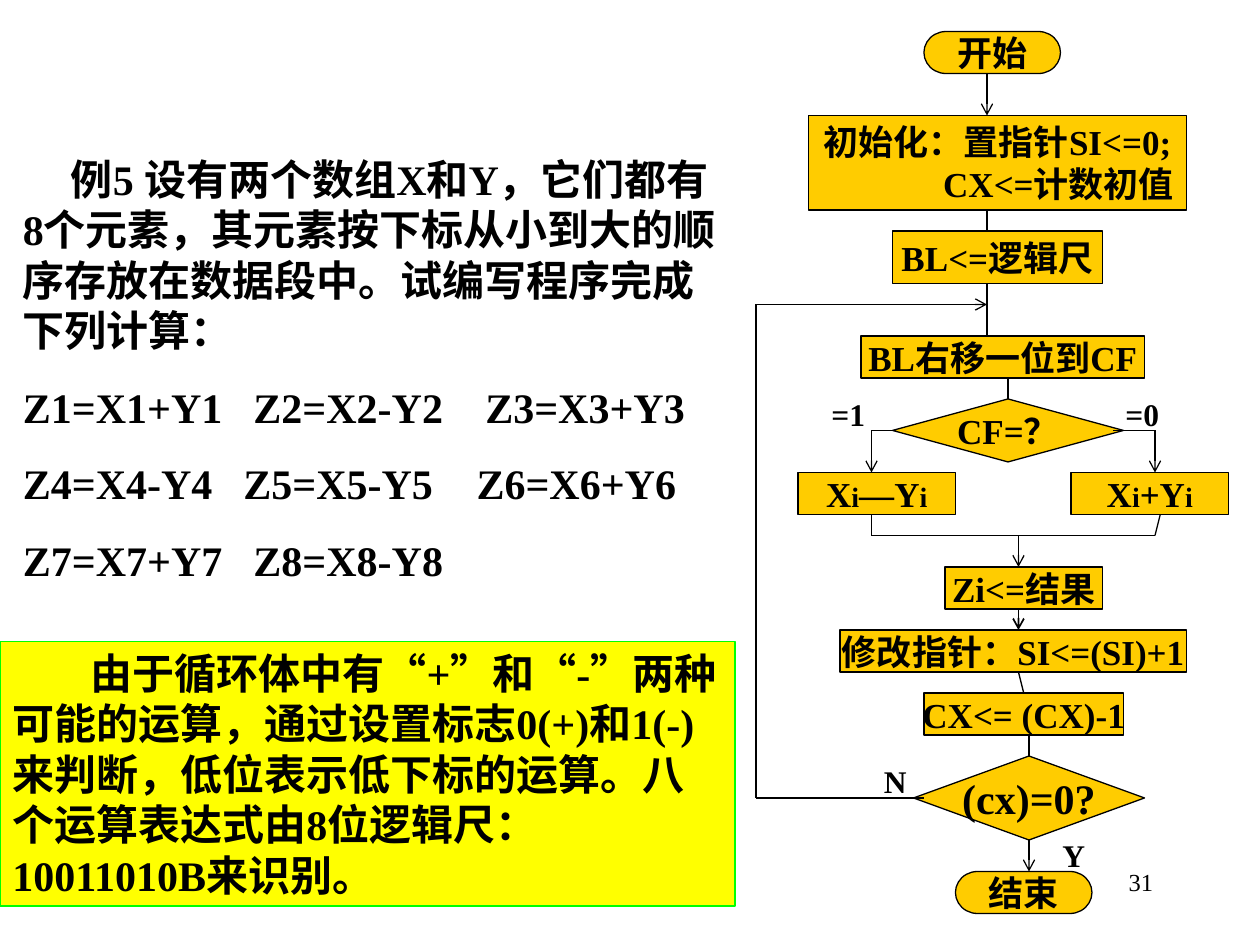
from lxml import etree
from pptx import Presentation
from pptx.dml.color import RGBColor
from pptx.enum.shapes import MSO_CONNECTOR, MSO_SHAPE
from pptx.enum.text import MSO_ANCHOR, PP_ALIGN
from pptx.oxml.ns import qn
from pptx.util import Inches, Pt

BLACK = RGBColor(0x00, 0x00, 0x00)
GOLD = RGBColor(0xFF, 0xCC, 0x00)
YELLOW = RGBColor(0xFF, 0xFF, 0x00)
GREEN = RGBColor(0x00, 0xFF, 0x00)
FONT = "Times New Roman"
U = Inches(1) // 12  # grid step: twelve to the inch

RECT = MSO_SHAPE.RECTANGLE
ROUND = MSO_SHAPE.FLOWCHART_TERMINATOR
DIAMOND = MSO_SHAPE.FLOWCHART_DECISION

# Left column: the exercise and the explanation
TASK = "例5 设有两个数组X和Y，它们都有8个元素，其元素按下标从小到大的顺序存放在数据段中。试编写程序完成下列计算："
FORMULAS = [  # terms, tab stops in inches
    (["Z1=X1+Y1", "Z2=X2-Y2", "Z3=X3+Y3"], [1.83, 3.67]),
    (["Z4=X4-Y4", "Z5=X5-Y5", "Z6=X6+Y6"], [1.75, 3.6]),
    (["Z7=X7+Y7", "Z8=X8-Y8"], [1.83]),
]
NOTE = ("由于循环体中有“+”和“-”两种可能的运算，通过设置标志0(+)和1(-)来判断，"
        "低位表示低下标的运算。八个运算表达式由8位逻辑尺：10011010B来识别。")

# Flowchart nodes: kind, left, top, width, height (grid steps), lines, size
# Within a line, every second part between bars is a small subscript
NODES = [
    (ROUND, 88, 3, 13, 4, ["开始"], 20),
    (RECT, 77, 11, 36, 9, ["初始化：置指针SI<=0;", "CX<=计数初值"], 20),
    (RECT, 85, 22, 20, 5, ["BL<=逻辑尺"], 20),
    (RECT, 82, 32, 27, 4, ["BL右移一位到CF"], 20),
    (DIAMOND, 85, 38, 22, 6, ["CF=？"], 20),
    (RECT, 76, 45, 15, 4, ["X|i|—Y|i"], 20),
    (RECT, 102, 45, 15, 4, ["X|i|+Y|i"], 20),
    (RECT, 90, 54, 15, 4, ["Zi<=结果"], 20),
    (RECT, 80, 60, 33, 4, ["修改指针：SI<=(SI)+1"], 20),
    (RECT, 88, 66, 19, 4, ["CX<= (CX)-1"], 20),
    (DIAMOND, 87, 72, 22, 8, ["(cx)=0?"], 24),
    (ROUND, 91, 83, 13, 4, ["结束"], 20),
]
# Routes: points in grid steps, arrow at the last point, line width
ROUTES = [
    ([(94, 7), (94, 11)], True, 0.75),
    ([(94, 20), (94, 22)], False, 0.75),
    ([(94, 27), (94, 32)], False, 0.75),
    ([(96, 36), (96, 38)], False, 0.75),
    ([(85, 41), (83, 41), (83, 45)], True, 0.75),
    ([(106, 41), (110, 41), (110, 45)], True, 0.75),
    ([(83, 49), (83, 51), (110, 51), (110.5, 49)], False, 0.75),
    ([(97, 51), (97, 54)], True, 0.75),
    ([(97, 58), (97, 60)], True, 1),
    ([(97, 64), (97.5, 66)], False, 0.75),
    ([(98, 70), (98, 72)], False, 0.75),
    ([(98, 80), (98, 83)], True, 0.75),
    ([(88, 76), (72, 76), (72, 29), (94, 29)], True, 0.75),
]
LABELS = [("=1", 78, 37, 11), ("=0", 106, 37, 7), ("N", 83, 72, 5), ("Y", 100, 79, 9)]

prs = Presentation()
prs.slide_width, prs.slide_height = Inches(10), Inches(7.5)
s = prs.slides.add_slide(prs.slide_layouts[6])


def grid(*steps):
    return [int(step * U) for step in steps]


def style(p, size, bold=True, align=PP_ALIGN.LEFT, before=0):
    p.alignment = align
    p.space_before = Pt(before)
    f = p.font
    f.name, f.size, f.bold = FONT, Pt(size), bold
    f.color.rgb = BLACK


def indent(p, inches):
    p._p.get_or_add_pPr().set("indent", str(Inches(inches)))


def set_tabs(p, stops):
    tabs = etree.Element(qn("a:tabLst"))
    for stop in stops:
        etree.SubElement(tabs, qn("a:tab"), pos=str(Inches(stop)), algn="l")
    pPr = p._p.get_or_add_pPr()
    pPr.find(qn("a:defRPr")).addprevious(tabs)


def add_box(kind, box, fill, line):
    sp = s.shapes.add_shape(kind, *box)
    sp.shadow.inherit = False
    sp.fill.solid()
    sp.fill.fore_color.rgb = fill
    sp.line.color.rgb = line
    sp.line.width = Pt(0.75)
    return sp


def add_text(box):
    tf = s.shapes.add_textbox(*box).text_frame
    tf.word_wrap = True
    return tf


def add_line(start, end, arrow, width):
    c = s.shapes.add_connector(MSO_CONNECTOR.STRAIGHT, *grid(*start, *end))
    c.line.color.rgb = BLACK
    c.line.width = Pt(width)
    etree.SubElement(c._element.spPr, qn("a:effectLst"))
    if arrow:
        etree.SubElement(c.line._get_or_add_ln(), qn("a:tailEnd"), type="arrow")
    if start in sites:
        c.begin_connect(*sites[start])
    if end in sites:
        c.end_connect(*sites[end])


# Explanation panel
tf = add_box(RECT, (0, Inches(5.09), 70 * U, Inches(2.1)), YELLOW, GREEN).text_frame
tf.word_wrap = True
tf.vertical_anchor = MSO_ANCHOR.TOP
p = tf.paragraphs[0]
p.text = NOTE
style(p, 24, before=15)
indent(p, 0.62)

# Exercise and formulas
tf = add_text(grid(1, 14, 69, 42.4))
p = tf.paragraphs[0]
p.text = TASK
style(p, 24, before=15)
indent(p, 0.38)
for terms, stops in FORMULAS:
    p = tf.add_paragraph()
    p.text = "\t".join(terms)
    style(p, 24, before=15)
    set_tabs(p, stops)

# Flowchart nodes, with the middles of their sides kept for joining
sites = {}
for kind, x, y, w, h, lines, size in NODES:
    sp = add_box(kind, grid(x, y, w, h), GOLD, BLACK)
    middles = [(x + w / 2, y), (x, y + h / 2), (x + w / 2, y + h), (x + w, y + h / 2)]
    sites.update({point: (sp, i) for i, point in enumerate(middles)})
    tf = sp.text_frame
    tf.word_wrap = False
    tf.vertical_anchor = MSO_ANCHOR.MIDDLE
    for i, line in enumerate(lines):
        p = tf.add_paragraph() if i else tf.paragraphs[0]
        style(p, size, align=PP_ALIGN.RIGHT if i else PP_ALIGN.CENTER)
        for j, part in enumerate(line.split("|")):
            r = p.add_run()
            r.text = part
            if j % 2:
                r.font.size = Pt(16)

# Flow lines
for points, arrow, width in ROUTES:
    for i in range(len(points) - 1):
        is_last = i == len(points) - 2
        add_line(points[i], points[i + 1], arrow and is_last, width)

# Branch labels
for text, x, y, w in LABELS:
    p = add_text(grid(x, y, w, 4.8)).paragraphs[0]
    p.text = text
    style(p, 18, before=11.2)

# Slide number
p = add_text(grid(86, 82, 25, 6)).paragraphs[0]
p.text = "31"
style(p, 14, bold=False, align=PP_ALIGN.RIGHT)

prs.save("out.pptx")
